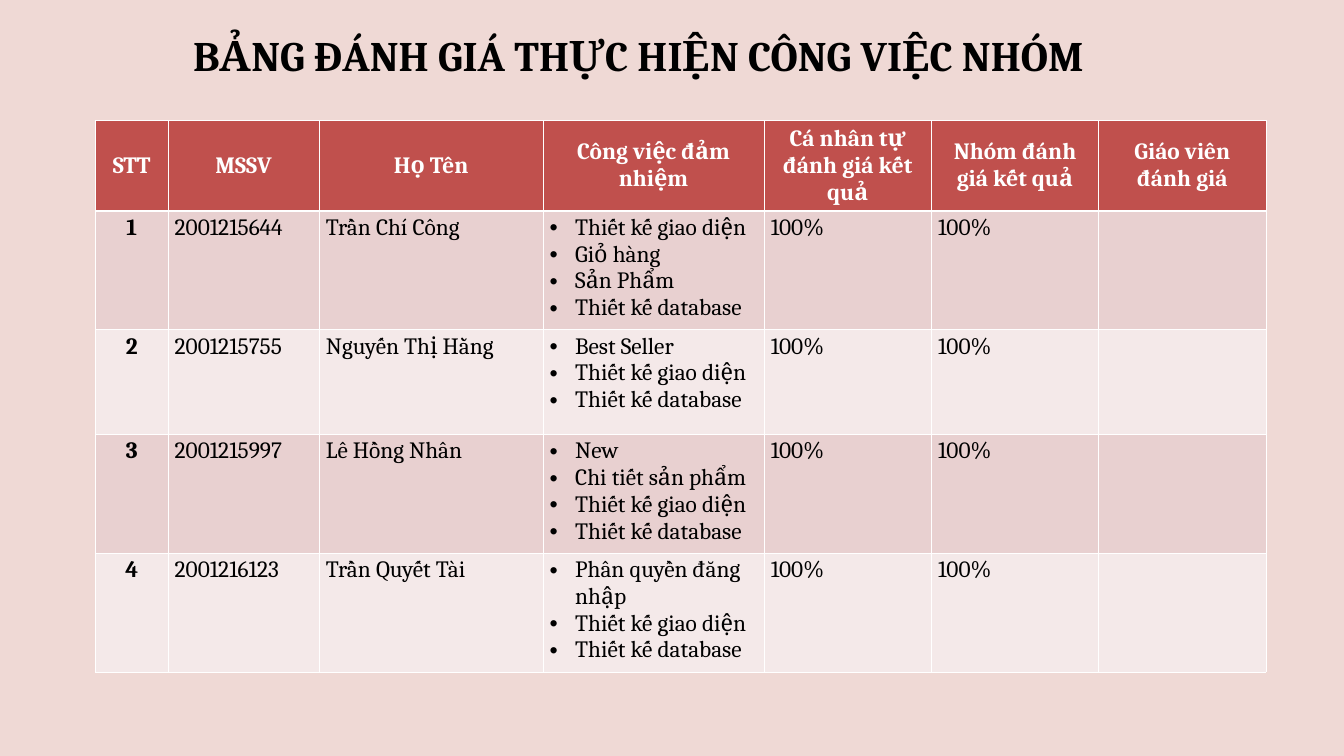
from dataclasses import dataclass

from lxml import etree
from pptx import Presentation
from pptx.dml.color import RGBColor
from pptx.enum.text import MSO_ANCHOR, MSO_AUTO_SIZE, PP_ALIGN
from pptx.oxml.ns import qn
from pptx.slide import Slide
from pptx.table import _Cell
from pptx.util import Inches, Pt

CENTER, LEFT = PP_ALIGN.CENTER, PP_ALIGN.LEFT
MIDDLE, TOP = MSO_ANCHOR.MIDDLE, MSO_ANCHOR.TOP
GROW = MSO_AUTO_SIZE.SHAPE_TO_FIT_TEXT


@dataclass(frozen=True)
class Theme:
    font: str = "Cambria"
    back: str = "EFD9D5"
    head: str = "C0504D"
    bands: tuple[str, str] = ("E8D0D0", "F4E9E9")
    ink: str = "000000"
    white: str = "FFFFFF"
    title: int = 45
    body: int = 25
    thin: int = 1
    thick: int = 3


@dataclass(frozen=True)
class Member:
    code: str
    name: str
    tasks: tuple[str, ...]
    score: str = "100%"


@dataclass(frozen=True)
class Look:
    fill: str
    color: str
    bold: bool = False
    align: PP_ALIGN = LEFT
    anchor: MSO_ANCHOR = TOP
    base: int = 1
    bullet: bool = False


THEME = Theme()
HEADS = ("STT", "MSSV", "Họ Tên", "Công việc đảm nhiệm",
         "Cá nhân tự đánh giá kết quả", "Nhóm đánh giá kết quả",
         "Giáo viên đánh giá")
WIDTHS = (1.08, 2.25, 3.33, 3.29, 2.49, 2.49, 2.49)
HEIGHTS = (1.33,) + (1.56,) * 4
TASK_COL = 3
DESIGN, DATA = "Thiết kế giao diện", "Thiết kế database"
TEAM = (
    Member("2001215644", "Trần Chí Công",
           (DESIGN, "Giỏ hàng", "Sản Phẩm", DATA)),
    Member("2001215755", "Nguyến Thị Hằng",
           ("Best Seller", DESIGN, DATA)),
    Member("2001215997", "Lê Hồng Nhân",
           ("New", "Chi tiết sản phẩm", DESIGN, DATA)),
    Member("2001216123", "Trần Quyết Tài",
           ("Phân quyền đăng nhập", DESIGN, DATA)),
)


def add_edges(cell: _Cell, base: int) -> None:
    props = cell._tc.get_or_add_tcPr()
    sizes = {"lnL": THEME.thin, "lnR": THEME.thin,
             "lnT": THEME.thin, "lnB": base}
    for place, (tag, size) in enumerate(sizes.items()):
        line = etree.Element(qn(f"a:{tag}"), w=str(Pt(size)))
        fill = etree.SubElement(line, qn("a:solidFill"))
        etree.SubElement(fill, qn("a:srgbClr"), val=THEME.white)
        props.insert(place, line)


def fill_cell(cell: _Cell, text: str, look: Look) -> None:
    cell.fill.solid()
    cell.fill.fore_color.rgb = RGBColor.from_string(look.fill)
    add_edges(cell, look.base)
    cell.vertical_anchor = look.anchor
    cell.text_frame.text = text
    for para in cell.text_frame.paragraphs:
        para.alignment = look.align
        if look.bullet:
            props = para._p.get_or_add_pPr()
            props.set("marL", str(Inches(0.38)))
            props.set("indent", str(-Inches(0.38)))
            etree.SubElement(props, qn("a:buFont"), typeface="Arial")
            etree.SubElement(props, qn("a:buChar"), char="•")
        for run in para.runs:
            run.font.name = THEME.font
            run.font.size = Pt(THEME.body)
            run.font.bold = look.bold
            run.font.color.rgb = RGBColor.from_string(look.color)


def add_title(slide: Slide, text: str) -> None:
    title = slide.shapes.title
    title.left, title.top = Inches(2.25), Inches(0.38)
    title.width, title.height = Inches(14.5), Inches(0.86)
    frame = title.text_frame
    frame.text = text
    frame.auto_size = GROW
    para = frame.paragraphs[0]
    para.alignment = CENTER
    font = para.runs[0].font
    font.name, font.size, font.bold = THEME.font, Pt(THEME.title), True
    font.color.rgb = RGBColor.from_string(THEME.ink)


def add_grid(slide: Slide) -> None:
    grid = slide.shapes.add_table(
        len(HEIGHTS), len(WIDTHS), Inches(1.42), Inches(1.79),
        Inches(sum(WIDTHS)), Inches(sum(HEIGHTS))).table
    for col, width in zip(grid.columns, WIDTHS):
        col.width = Inches(width)
    for row, height in zip(grid.rows, HEIGHTS):
        row.height = Inches(height)

    head = Look(THEME.head, THEME.white, True, CENTER, MIDDLE, THEME.thick)
    for col, text in enumerate(HEADS):
        fill_cell(grid.cell(0, col), text, head)

    for row, who in enumerate(TEAM, 1):
        band = THEME.bands[(row - 1) % 2]
        texts = (str(row), who.code, who.name, "\n".join(who.tasks),
                 who.score, who.score, "")
        for col, text in enumerate(texts):
            first = col == 0
            look = Look(band, THEME.ink, first, CENTER if first else LEFT,
                        bullet=col == TASK_COL)
            fill_cell(grid.cell(row, col), text, look)


def main() -> None:
    deck = Presentation()
    deck.slide_width, deck.slide_height = Inches(20), Inches(11.25)
    slide = deck.slides.add_slide(deck.slide_layouts[5])
    slide.background.fill.solid()
    slide.background.fill.fore_color.rgb = RGBColor.from_string(THEME.back)
    add_grid(slide)
    add_title(slide, "BẢNG ĐÁNH GIÁ THỰC HIỆN CÔNG VIỆC NHÓM")
    deck.save("out.pptx")


if __name__ == "__main__":
    main()
